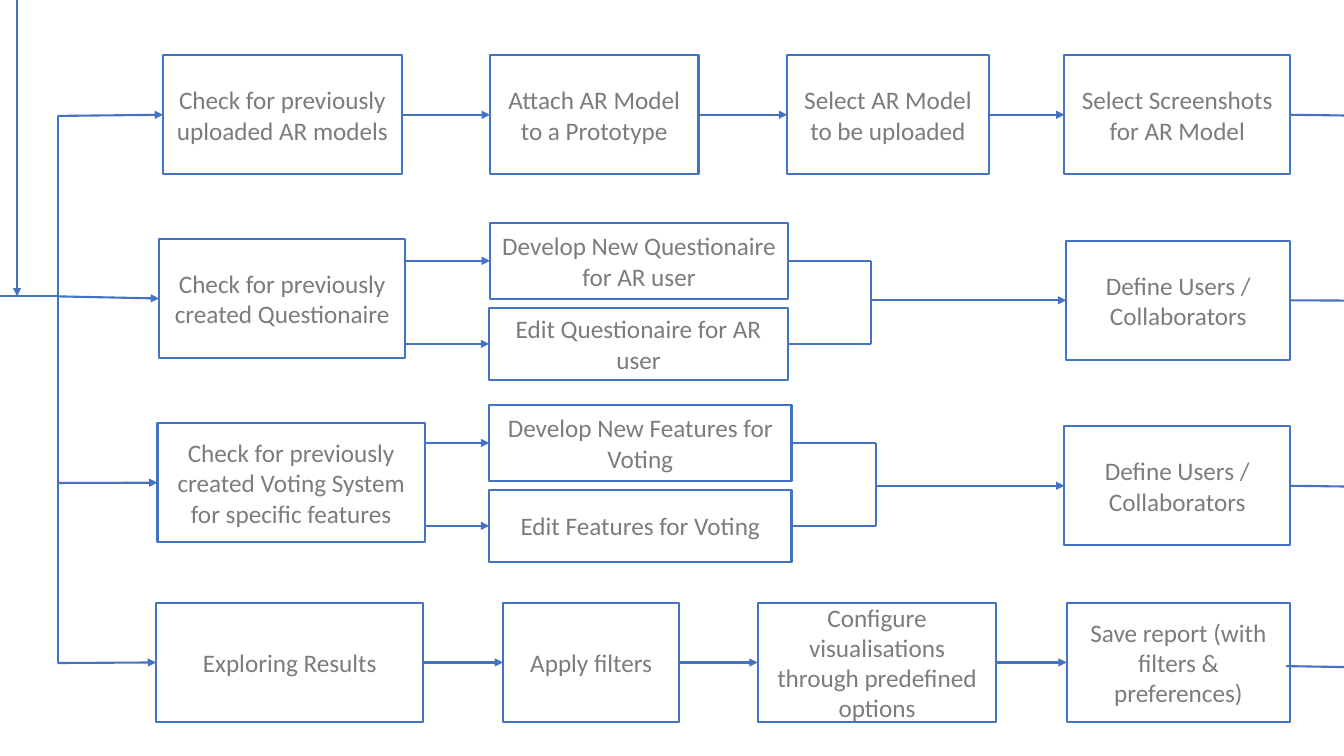
from pptx import Presentation
from pptx import util as u
from pptx.dml import color
from pptx.enum import shapes, text
from pptx.oxml import ns
from lxml import etree

WIDTH, HEIGHT = 960, 540
LEFT, RIGHT = 1, 3  # connection sites of a rectangle


def rgb(code):
    return color.RGBColor.from_string(code)


def edge(box):
    """Right side of a box in points."""
    return u.Emu(box.left + box.width).pt


def middle(box):
    """Vertical middle of a box in points."""
    return u.Emu(box.top + box.height // 2).pt


def write(frame, words, size=18, font="Calibri", ink="7C7C7C"):
    frame.word_wrap = True
    frame.vertical_anchor = text.MSO_ANCHOR.MIDDLE
    para = frame.paragraphs[0]
    para.alignment = text.PP_ALIGN.CENTER
    run = para.add_run()
    run.text = words
    run.font.size = u.Pt(size)
    run.font.name = font
    run.font.color.rgb = rgb(ink)


class Chart:
    """Style and drawing methods for the flow on one slide."""
    blue = "4472C4"
    weight = 1.5
    tall = 85

    def __init__(self, slide):
        self.slide = slide

    def box(self, words, x, y, w, h=tall):
        rect = self.slide.shapes.add_shape(
            shapes.MSO_SHAPE.RECTANGLE, *map(u.Pt, (x, y, w, h)))
        rect.shadow.inherit = False
        rect.fill.background()
        rect.line.color.rgb = rgb(self.blue)
        rect.line.width = u.Pt(self.weight)
        write(rect.text_frame, words)
        return rect

    def line(self, x1, y1, x2, y2, start=None, end=None, arrow=False):
        """Draw a line; start leaves a box's right side, end enters a left side."""
        link = self.slide.shapes.add_connector(
            shapes.MSO_CONNECTOR.STRAIGHT, *map(u.Pt, (x1, y1, x2, y2)))
        link.line.color.rgb = rgb(self.blue)
        link.line.width = u.Pt(self.weight)
        if start is not None:
            link.begin_connect(start, RIGHT)
        if end is not None:
            link.end_connect(end, LEFT)
        props = link.element.spPr
        if arrow:
            etree.SubElement(props.get_or_add_ln(), ns.qn("a:tailEnd"),
                             type="triangle")
        etree.SubElement(props, ns.qn("a:effectLst"))

    def enter(self, x, y, end):
        self.line(x, y, end.left.pt, y, end=end, arrow=True)

    def leave(self, start, x, y):
        self.line(edge(start), y, x, y, start=start)

    def chain(self, top, steps):
        """Draw a row of boxes, each joined to the next."""
        row = [self.box(words, x, top, w) for words, x, w in steps]
        for one, two in zip(row, row[1:]):
            self.line(edge(one), middle(one), two.left.pt, middle(two),
                      start=one, end=two, arrow=True)
        return row

    def fork(self, check, picks, goal, merge):
        """Split a check into picks that merge again before the goal."""
        mids = [middle(pick) for pick in picks]
        for pick, mid in zip(picks, mids):
            self.enter(edge(check), mid, pick)
            self.leave(pick, merge, mid)
        self.line(merge, mids[0], merge, mids[1])
        self.enter(merge, middle(goal), goal)


def main():
    deck = Presentation()
    deck.slide_width, deck.slide_height = u.Pt(WIDTH), u.Pt(HEIGHT)
    flow = Chart(deck.slides.add_slide(deck.slide_layouts[6]))

    # Model row
    model = flow.chain(39.5, [
        ("Check for previously uploaded AR models", 116.5, 170.5),
        ("Attach AR Model to a Prototype", 350, 149),
        ("Select AR Model to be uploaded", 562.3, 144),
        ("Select Screenshots for AR Model", 760.3, 161.3)])

    # Questionnaire row
    quiz = flow.box("Check for previously created Questionaire", 113.6, 170.7, 176)
    forms = [flow.box("Develop New Questionaire for AR user", 350, 159.3, 213, 54),
             flow.box("Edit Questionaire for AR user", 349.4, 220, 213.4, 51.3)]
    team = flow.box("Define Users / Collaborators", 761.6, 172, 160)
    flow.fork(quiz, forms, team, 622)

    # Voting row
    vote = flow.box("Check for previously created Voting System for specific features",
                    112.5, 302.3, 191)
    polls = [flow.box("Develop New Features for Voting", 349.4, 289.4, 216, 54),
             flow.box("Edit Features for Voting", 349.4, 350, 216, 51.3)]
    crew = flow.box("Define Users / Collaborators", 760.3, 304.5, 161.3)
    flow.fork(vote, polls, crew, 626)

    # Results row
    result = flow.chain(430.7, [
        ("Exploring Results", 111.5, 191),
        ("Apply filters", 359.3, 126),
        ("Configure visualisations through predefined options", 541.2, 170.5),
        ("Save report (with filters & preferences)", 762, 159.6)])

    # Trunk with its inputs and branches
    trunk, level, inlet = 41.2, 211.7, 12.2
    flow.line(0, level, trunk, level)
    flow.line(inlet, 0, inlet, level, arrow=True)
    flow.line(trunk, 82.8, trunk, 473.6)
    for y, first in ((82.8, model[0]), (level, quiz),
                     (345, vote), (473.6, result[0])):
        flow.enter(trunk, y, first)

    # Exits to the right edge
    for last, y in ((model[-1], 82.5), (team, 214.7), (crew, 347.5)):
        flow.leave(last, WIDTH, y)
    flow.line(918.7, 475.8, WIDTH, 476.5)

    deck.save("out.pptx")


if __name__ == "__main__":
    main()
